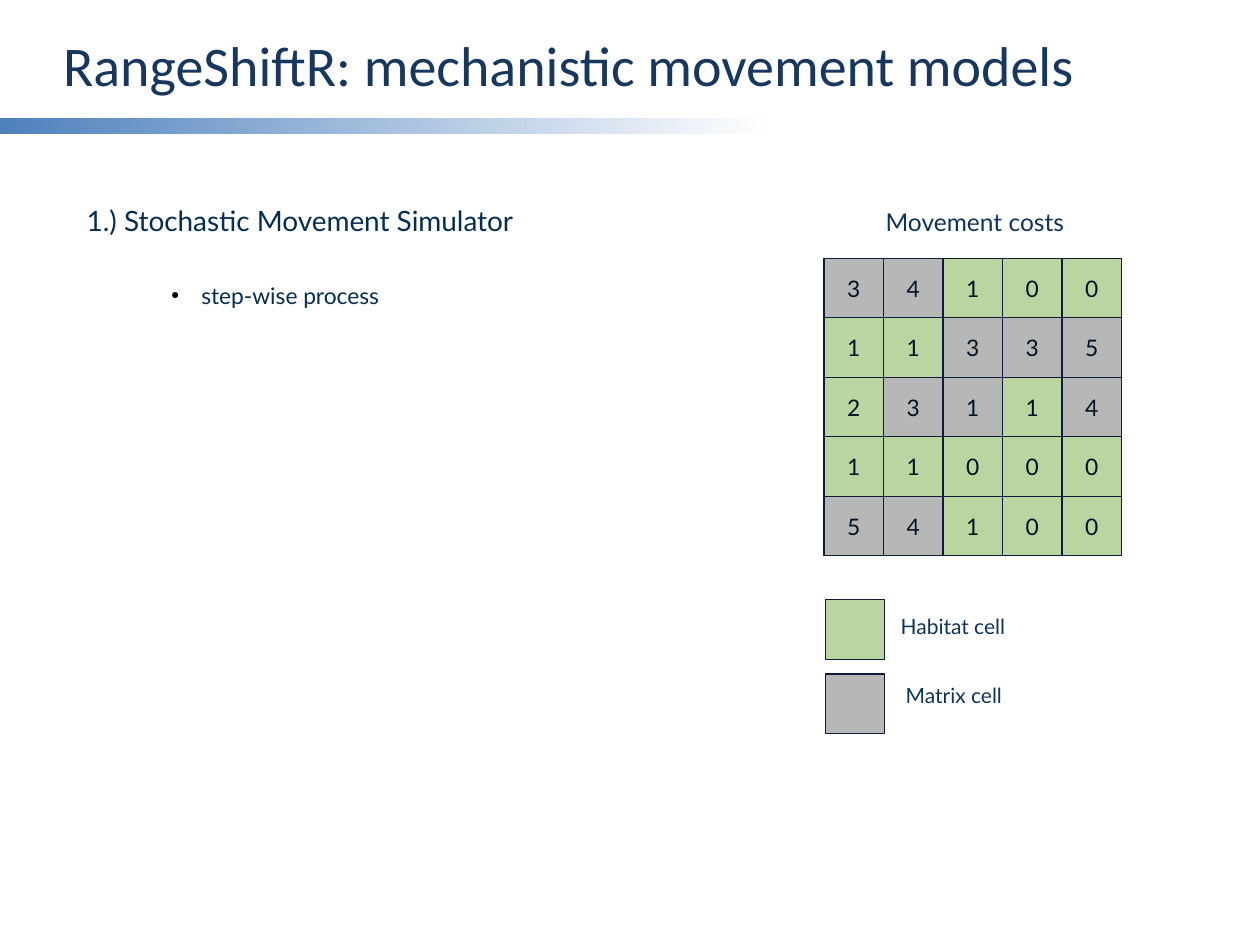
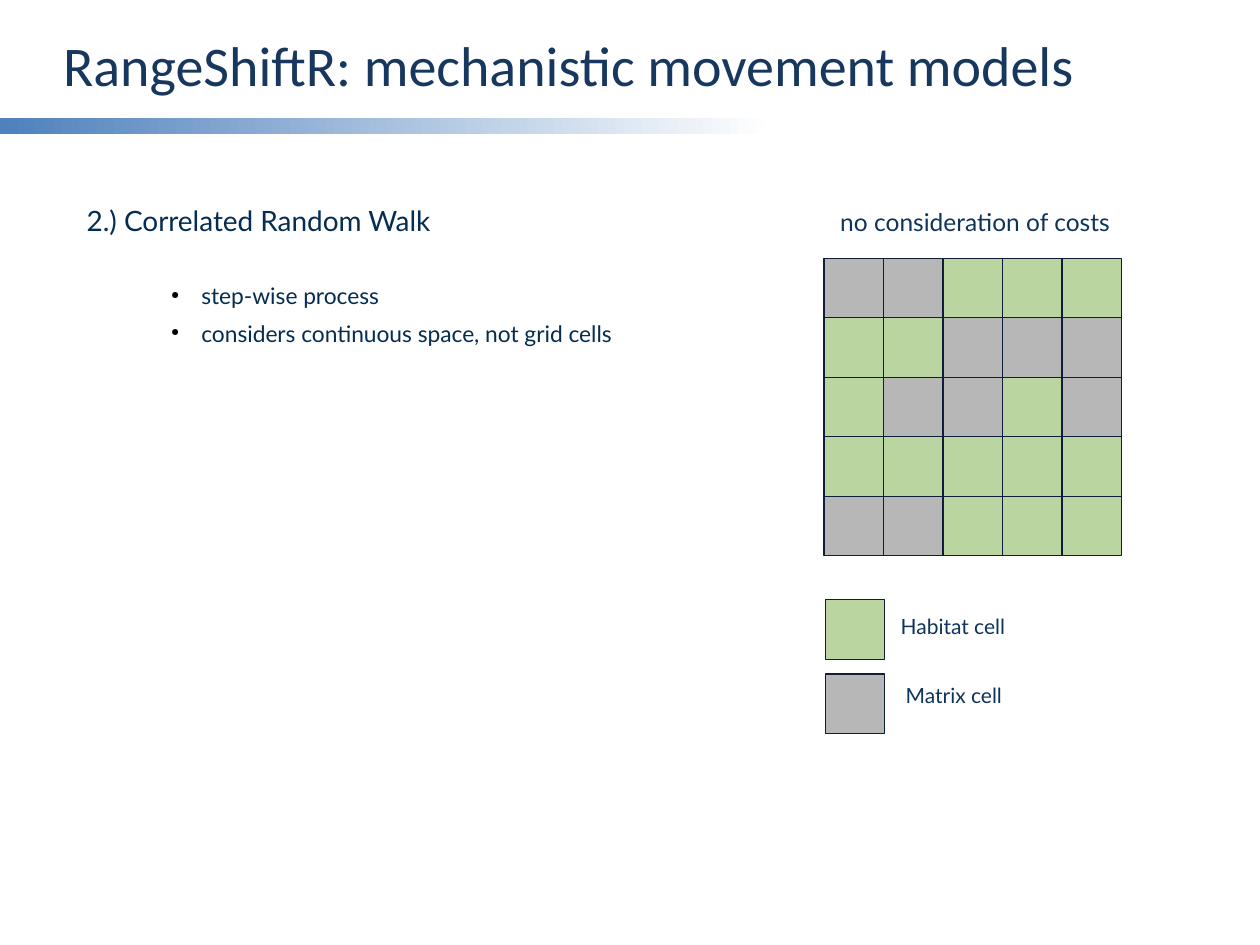
from dataclasses import dataclass

from lxml import etree
from pptx import Presentation
from pptx import util as u
from pptx.dml.color import RGBColor
from pptx.enum import shapes, text
from pptx.oxml.ns import qn
from pptx.shapes.autoshape import Shape
from pptx.slide import Slide
from pptx.text.text import _Paragraph as Paragraph

BAND_BLUE = RGBColor(0x4F, 0x81, 0xBD)
WHITE = RGBColor(0xFF, 0xFF, 0xFF)
TITLE_BLUE = RGBColor(0x17, 0x37, 0x5E)
BODY_BLUE = RGBColor(0x05, 0x2D, 0x51)
LABEL_BLUE = RGBColor(0x0F, 0x34, 0x5A)
COST_INK = RGBColor(0x00, 0x13, 0x26)
CELL_EDGE = RGBColor(0x0D, 0x1D, 0x3A)
HABITAT_GREEN = RGBColor(0x9D, 0xC4, 0x77)
MATRIX_GREY = RGBColor(0x99, 0x99, 0x99)

TITLE = "RangeShiftR: mechanistic movement models"
TITLE_FONT, BODY_FONT = "Calibri", "Lato"
CELL_OPACITY = 70
BULLET_INDENT = u.Inches(0.24)
BULLET_GAP = u.Pt(2.8)

# H is a habitat cell, M a matrix cell
LANDSCAPE = ("MMHHH", "HHMMM", "HMMHM", "HHHHH", "MMHHH")
CELL_COLOURS = {"H": HABITAT_GREEN, "M": MATRIX_GREY}
MOVEMENT_COSTS = ("34100", "11335", "23114", "11000", "54100")
GRID_LEFT, GRID_TOP, GRID_SIDE = 6.54, 2.05, 2.36
CELL = GRID_SIDE / len(LANDSCAPE)


@dataclass(frozen=True)
class Label:
    wording: str
    left: float
    top: float
    width: float
    height: float
    size: int
    colour: RGBColor = LABEL_BLUE


@dataclass(frozen=True)
class LegendEntry:
    colour: RGBColor
    top: float
    label: Label


@dataclass(frozen=True)
class MovementModel:
    heading: str
    bullets: tuple[str, ...]
    bullets_width: float
    bullets_height: float
    grid_caption: Label
    costs: tuple[str, ...] = ()


LEGEND = (
    LegendEntry(HABITAT_GREEN, 4.76, Label("Habitat cell", 7.05, 4.82, 1.61, 0.34, 12)),
    LegendEntry(MATRIX_GREY, 5.35, Label("Matrix cell", 7.09, 5.37, 1.57, 0.34, 12)),
)

MODELS = (
    MovementModel(
        "1.) Stochastic Movement Simulator",
        ("step-wise process",), 3.74, 0.32,
        Label("Movement costs", 6.93, 1.59, 1.73, 0.38, 14),
        MOVEMENT_COSTS,
    ),
    MovementModel(
        "2.) Correlated Random Walk",
        ("step-wise process", "considers continuous space, not grid cells"), 4.13, 0.61,
        Label("no consideration of costs", 6.57, 1.59, 2.48, 0.38, 14),
    ),
)


def add_span(para: Paragraph, wording: str, size: float, colour: RGBColor,
             font: str = BODY_FONT) -> None:
    span = para.add_run()
    span.text = wording
    span.font.name = font
    span.font.size = u.Pt(size)
    span.font.color.rgb = colour


def add_rectangle(page: Slide, left: float, top: float, width: float, height: float) -> Shape:
    box = page.shapes.add_shape(
        shapes.MSO_SHAPE.RECTANGLE,
        u.Inches(left), u.Inches(top), u.Inches(width), u.Inches(height))
    box.shadow.inherit = False
    return box


def add_band(page: Slide) -> None:
    """Draw the strip under the title, fading to white on the right."""
    band = add_rectangle(page, 0, 0.94, 6.14, 0.12)
    band.line.fill.background()
    band.fill.gradient()
    band.fill.gradient_angle = 0
    for stop, position, colour in zip(band.fill.gradient_stops, (0, 1), (BAND_BLUE, WHITE)):
        stop.position = position
        stop.color.rgb = colour


def add_title(page: Slide) -> None:
    title = page.shapes.title
    title.left, title.top = u.Inches(0.5), u.Inches(0.23)
    title.width, title.height = u.Inches(9), u.Inches(0.55)
    frame = title.text_frame
    frame.margin_left = frame.margin_right = frame.margin_top = frame.margin_bottom = 0
    frame.vertical_anchor = text.MSO_ANCHOR.MIDDLE
    frame.auto_size = text.MSO_AUTO_SIZE.NONE
    frame.paragraphs[0].alignment = text.PP_ALIGN.LEFT
    add_span(frame.paragraphs[0], TITLE, 32, TITLE_BLUE, TITLE_FONT)


def add_text_box(page: Slide, left: float, top: float, width: float, height: float) -> Shape:
    box = page.shapes.add_textbox(
        u.Inches(left), u.Inches(top), u.Inches(width), u.Inches(height))
    box.text_frame.word_wrap = True
    return box


def add_label(page: Slide, label: Label) -> None:
    box = add_text_box(page, label.left, label.top, label.width, label.height)
    add_span(box.text_frame.paragraphs[0], label.wording, label.size, label.colour)


def set_bullet(para: Paragraph) -> None:
    properties = para._p.get_or_add_pPr()
    properties.set("marL", str(BULLET_INDENT))
    properties.set("indent", str(-BULLET_INDENT))
    colour = etree.SubElement(properties, qn("a:buClr"))
    etree.SubElement(colour, qn("a:srgbClr"), val="000000")
    etree.SubElement(properties, qn("a:buSzPct"), val="45000")
    etree.SubElement(properties, qn("a:buChar"), char="●")


def add_bullets(page: Slide, model: MovementModel) -> None:
    box = add_text_box(page, 1.26, 2.19, model.bullets_width, model.bullets_height)
    frame = box.text_frame
    for number, wording in enumerate(model.bullets):
        para = frame.add_paragraph() if number else frame.paragraphs[0]
        set_bullet(para)
        if number:
            para.space_before = BULLET_GAP
        para.space_after = BULLET_GAP
        add_span(para, wording, 13, BODY_BLUE)


def add_cell(page: Slide, left: float, top: float, colour: RGBColor, cost: str = "") -> None:
    cell = add_rectangle(page, left, top, CELL, CELL)
    cell.fill.solid()
    cell.fill.fore_color.rgb = colour
    tint = cell._element.spPr.find(f"{qn('a:solidFill')}/{qn('a:srgbClr')}")
    etree.SubElement(tint, qn("a:alpha"), val=str(CELL_OPACITY * 1000))
    cell.line.color.rgb = CELL_EDGE
    cell.line.width = 0
    if cost:
        frame = cell.text_frame
        frame.word_wrap = False
        frame.vertical_anchor = text.MSO_ANCHOR.MIDDLE
        frame.paragraphs[0].alignment = text.PP_ALIGN.CENTER
        add_span(frame.paragraphs[0], cost, 13, COST_INK)


def add_landscape(page: Slide, costs: tuple[str, ...]) -> None:
    for row, kinds in enumerate(LANDSCAPE):
        for column, kind in enumerate(kinds):
            add_cell(page, GRID_LEFT + column * CELL, GRID_TOP + row * CELL,
                     CELL_COLOURS[kind], costs[row][column] if costs else "")


def add_legend(page: Slide) -> None:
    for entry in LEGEND:
        add_cell(page, 6.55, entry.top, entry.colour)
        add_label(page, entry.label)


def main() -> None:
    deck = Presentation()
    deck.slide_width, deck.slide_height = u.Inches(10), u.Inches(7.5)
    title_only = deck.slide_layouts.get_by_name("Title Only")
    for model in MODELS:
        page = deck.slides.add_slide(title_only)
        add_band(page)
        add_title(page)
        add_label(page, Label(model.heading, 0.59, 1.57, 3.74, 0.36, 16, BODY_BLUE))
        add_label(page, model.grid_caption)
        add_landscape(page, model.costs)
        add_legend(page)
        add_bullets(page, model)
    deck.save("out.pptx")


if __name__ == "__main__":
    main()
